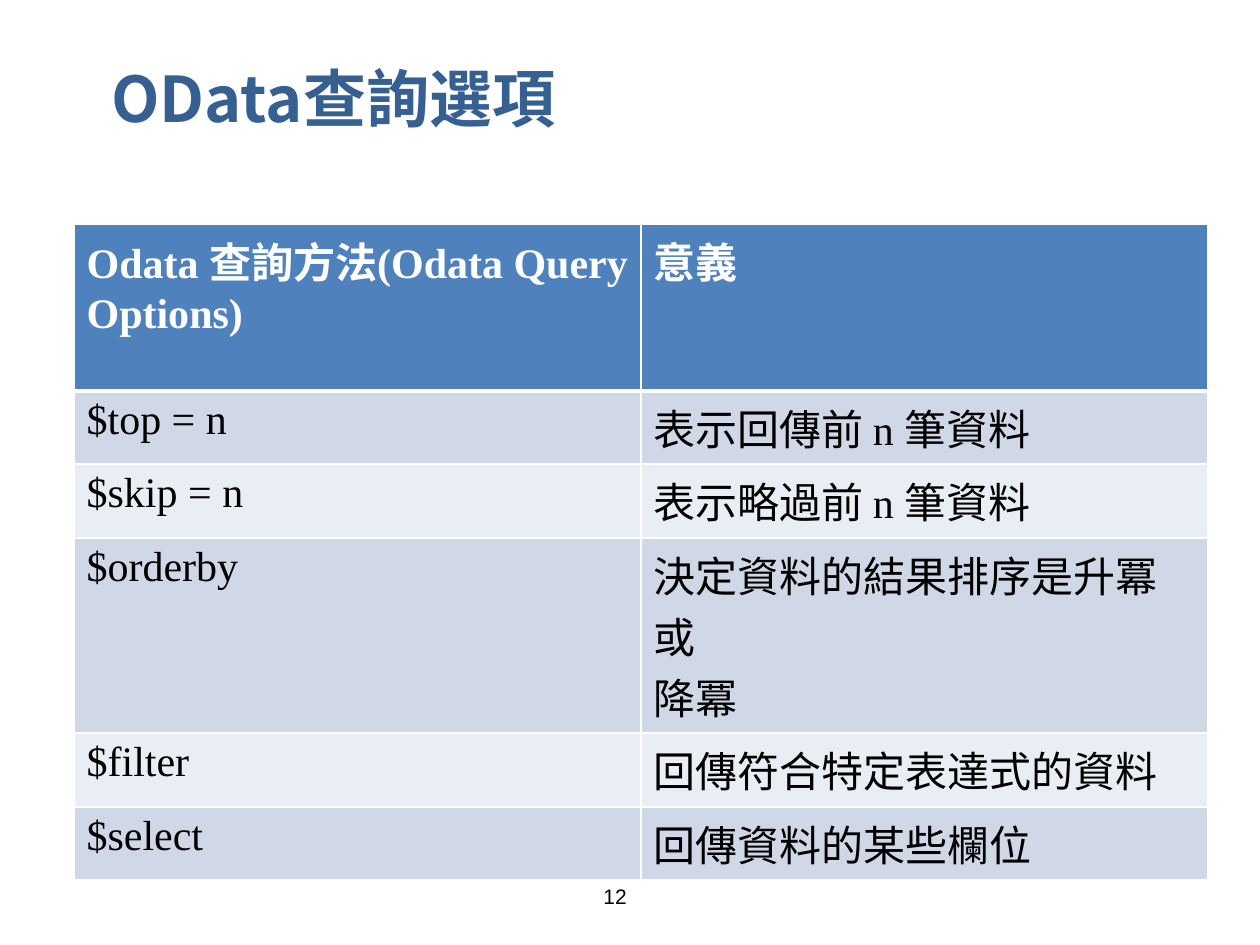
from pptx import Presentation, util as u
from pptx.dml.color import RGBColor
from pptx.enum import text
from pptx.oxml import parse_xml
from pptx.oxml.ns import nsdecls

PX = u.Inches(1) // 126
COLORS = {
    "title": "376092",
    "header": "4F81BD",
    "odd": "D0D8E8",
    "even": "E9EDF4",
    "white": "FFFFFF",
    "black": "000000",
}
CJK_FONT = "Noto Sans CJK JP"


def add_run(paragraph, words, size, font, color, bold=False):
    run = paragraph.add_run()
    run.text = words
    run.font.size = u.Pt(size)
    run.font.name = font
    run.font.bold = bold
    run.font.color.rgb = RGBColor.from_string(COLORS[color])
    run.font._element.append(
        parse_xml(f'<a:ea {nsdecls("a")} typeface="{CJK_FONT}"/>'))


def set_borders(cell, top_width, bottom_width):
    """Draw white cell borders, 1 pt wide at the sides."""
    properties = cell._tc.get_or_add_tcPr()
    widths = {"lnL": 1, "lnR": 1, "lnT": top_width, "lnB": bottom_width}
    for position, (side, width) in enumerate(widths.items()):
        properties.insert(position, parse_xml(
            f'<a:{side} {nsdecls("a")} w="{u.Pt(width)}"><a:solidFill>'
            f'<a:srgbClr val="{COLORS["white"]}"/></a:solidFill></a:{side}>'))


presentation = Presentation()
presentation.slide_width = 1260 * PX
presentation.slide_height = 945 * PX
slide = presentation.slides.add_slide(presentation.slide_layouts[6])

# Page number and title
labels = [
    ("12", (591, 877, 79, 63), 12, "Arial", "black", False, text.MSO_ANCHOR.TOP),
    ("OData查詢選項", (99, 52, 1160, 90), 36, CJK_FONT, "title", True,
     text.MSO_ANCHOR.MIDDLE),
]
for words, box, size, font, color, bold, anchor in labels:
    shape = slide.shapes.add_textbox(*(length * PX for length in box))
    shape.text_frame.word_wrap = True
    shape.text_frame.vertical_anchor = anchor
    add_run(shape.text_frame.paragraphs[0], words, size, font, color, bold)

# Query options: row height, then the lines of each cell
rows = [
    (167, ["Odata 查詢方法(Odata Query", "Options)"], ["意義"]),
    (73, ["$top = n"], ["表示回傳前 n 筆資料"]),
    (74, ["$skip = n"], ["表示略過前 n 筆資料"]),
    (195, ["$orderby"], ["決定資料的結果排序是升冪或", "降冪"]),
    (74, ["$filter"], ["回傳符合特定表達式的資料"]),
    (73, ["$select"], ["回傳資料的某些欄位"]),
]
table_height = sum(row[0] for row in rows)
table = slide.shapes.add_table(
    len(rows), 2, 74 * PX, 224 * PX, 1134 * PX, table_height * PX).table

for row_index, (height, *cells) in enumerate(rows):
    table.rows[row_index].height = height * PX
    is_header = row_index == 0
    fill = "header" if is_header else "odd" if row_index % 2 else "even"
    for column_index, lines in enumerate(cells):
        cell = table.cell(row_index, column_index)
        cell.fill.solid()
        cell.fill.fore_color.rgb = RGBColor.from_string(COLORS[fill])
        set_borders(cell, 3 if row_index == 1 else 1, 3 if is_header else 1)
        for line_index, line in enumerate(lines):
            frame = cell.text_frame
            paragraph = frame.add_paragraph() if line_index else frame.paragraphs[0]
            add_run(paragraph, line, 24, "Times New Roman",
                    "white" if is_header else "black", is_header)

presentation.save("out.pptx")
